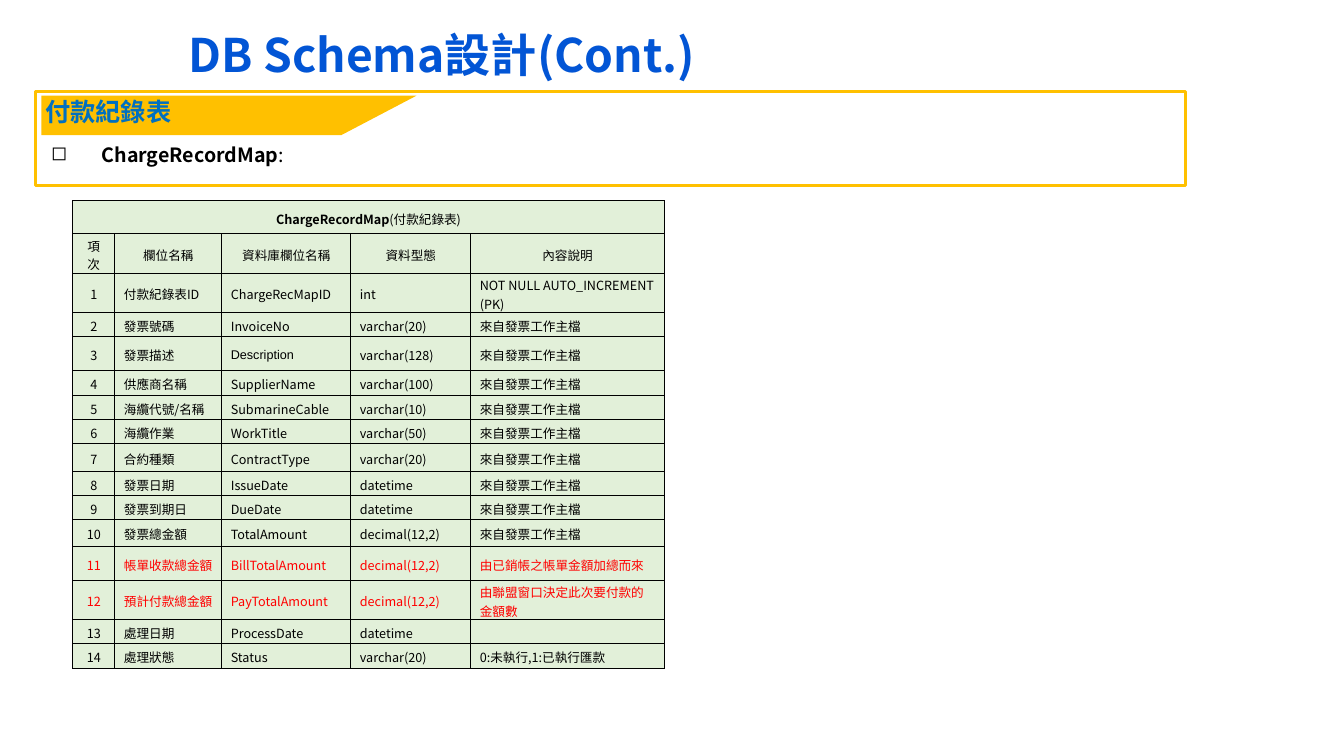
import itertools
from dataclasses import dataclass

import lxml.etree
import pptx
import pptx.dml.color
import pptx.enum.shapes
import pptx.enum.text
import pptx.oxml.ns
import pptx.util

Inches = pptx.util.Inches
Pt = pptx.util.Pt
ALIGN = pptx.enum.text.PP_ALIGN
ANCHOR = pptx.enum.text.MSO_ANCHOR
SHAPE = pptx.enum.shapes.MSO_SHAPE


@dataclass(frozen=True)
class Theme:
    title: str = "0255D5"
    label: str = "0070C0"
    gold: str = "FFC000"
    ink: str = "000000"
    alert: str = "FF0000"
    cell: str = "E2F0D9"
    main: str = "Noto Sans CJK SC"
    alt: str = "Arial"
    large: int = 33
    mid: int = 18
    body: int = 14
    small: int = 9


THEME = Theme()
COLS = [0.42, 1.06, 1.28, 1.19, 1.92]
ROWS = [0.33, 0.39, 0.39, 0.24, 0.34, 0.24, 0.24, 0.24,
        0.28, 0.24, 0.24, 0.26, 0.34, 0.39, 0.24, 0.24]
HEADS = ["項次", "欄位名稱", "資料庫欄位名稱", "資料型態", "內容說明"]
MAIN = "來自發票工作主檔"
FIELDS = [
    ("付款紀錄表ID", "ChargeRecMapID", "int", "NOT NULL AUTO_INCREMENT (PK)"),
    ("發票號碼", "InvoiceNo", "varchar(20)", MAIN),
    ("發票描述", "Description", "varchar(128)", MAIN),
    ("供應商名稱", "SupplierName", "varchar(100)", MAIN),
    ("海纜代號/名稱", "SubmarineCable", "varchar(10)", MAIN),
    ("海纜作業", "WorkTitle", "varchar(50)", MAIN),
    ("合約種類", "ContractType", "varchar(20)", MAIN),
    ("發票日期", "IssueDate", "datetime", MAIN),
    ("發票到期日", "DueDate", "datetime", MAIN),
    ("發票總金額", "TotalAmount", "decimal(12,2)", MAIN),
    ("帳單收款總金額", "BillTotalAmount", "decimal(12,2)", "由已銷帳之帳單金額加總而來"),
    ("預計付款總金額", "PayTotalAmount", "decimal(12,2)", "由聯盟窗口決定此次要付款的金額數"),
    ("處理日期", "ProcessDate", "datetime", ""),
    ("處理狀態", "Status", "varchar(20)", "0:未執行,1:已執行匯款"),
]
ALERTS = (11, 12)


def rgb(code):
    return pptx.dml.color.RGBColor.from_string(code)


def apply(target, values):
    for name, value in values.items():
        setattr(target, name, value)


def add_node(parent, tag, **values):
    return lxml.etree.SubElement(parent, pptx.oxml.ns.qn(tag), values)


def add_run(par, text, size, color, bold=False, font=THEME.main):
    run = par.add_run()
    run.text = text
    apply(run.font, {"size": Pt(size), "bold": bold, "name": font})
    run.font.color.rgb = rgb(color)
    add_node(run.font._element, "a:ea", typeface=THEME.main)


def add_text(slide, box, text, size, color, anchor=ANCHOR.TOP):
    frame = slide.shapes.add_textbox(*map(Inches, box)).text_frame
    apply(frame, {"word_wrap": True, "vertical_anchor": anchor})
    par = frame.paragraphs[0]
    add_run(par, text, size, color, True)
    return par


def add_title(slide, box):
    par = add_text(slide, box, "DB Schema設計(Cont.)", THEME.large, THEME.title, ANCHOR.MIDDLE)
    par.line_spacing = 0.9


def add_panel(slide, box):
    left, top, width, height = box
    frame = slide.shapes.add_shape(SHAPE.RECTANGLE, *map(Inches, box))
    frame.shadow.inherit = False
    frame.fill.background()
    frame.line.color.rgb = rgb(THEME.gold)
    frame.line.width = Pt(2)
    add_node(frame.line._ln, "a:round")

    bullet = add_text(slide, (left + 0.06, top + 0.46, width - 0.25, 0.34),
                      "ChargeRecordMap", THEME.body, THEME.ink)
    add_run(bullet, ":", THEME.body, THEME.ink)
    bullet.alignment = ALIGN.JUSTIFY
    props = bullet._p.get_or_add_pPr()
    for name, value in {"marL": Inches(0.5), "indent": Inches(-0.5)}.items():
        props.set(name, str(int(value)))
    add_node(props, "a:buChar", char="◻")

    wide, tall = 3.72, 0.39
    tab = slide.shapes.add_shape(
        SHAPE.FLOWCHART_MANUAL_INPUT, Inches(left + 0.06 + (wide - tall) / 2),
        Inches(top + 0.04 - (wide - tall) / 2), Inches(tall), Inches(wide))
    tab.rotation = 270
    tab._element.spPr.xfrm.set("flipV", "1")
    tab.shadow.inherit = False
    tab.fill.solid()
    tab.fill.fore_color.rgb = rgb(THEME.gold)
    tab.line.fill.background()
    add_text(slide, (left, top, 3.32, 0.4), "付款紀錄表", THEME.mid, THEME.label)


def is_han(char):
    return ord(char) > 0x2E80


def fill_cell(cell, text, color=THEME.ink, align=ALIGN.LEFT, strong=""):
    apply(cell, {"vertical_anchor": ANCHOR.MIDDLE,
                 "margin_left": Inches(0.09), "margin_right": Inches(0.09),
                 "margin_top": Inches(0.03), "margin_bottom": 0})
    props = cell._tc.get_or_add_tcPr()
    for side in "LRTB":
        line = add_node(props, f"a:ln{side}", w=str(int(Pt(0.75))))
        add_node(add_node(line, "a:solidFill"), "a:srgbClr", val=THEME.ink)
    cell.fill.solid()
    cell.fill.fore_color.rgb = rgb(THEME.cell)
    par = cell.text_frame.paragraphs[0]
    par.alignment = align
    if strong:
        add_run(par, strong, THEME.small, color, True)
    for han, chars in itertools.groupby(text, is_han):
        font = THEME.alt if han or text == "Description" else THEME.main
        add_run(par, "".join(chars), THEME.small, color, font=font)
    if not text:
        add_node(par._p, "a:endParaRPr", sz=str(THEME.small * 100))


def add_schema(slide, box):
    table = slide.shapes.add_table(len(ROWS), len(COLS), *map(Inches, box)).table
    apply(table, {"first_row": False, "horz_banding": False})
    for col, width in zip(table.columns, COLS):
        col.width = Inches(width)
    for row, height in zip(table.rows, ROWS):
        row.height = Inches(height)
    table.cell(0, 0).merge(table.cell(0, len(COLS) - 1))
    for col, head in enumerate(HEADS):
        first = col == 0
        fill_cell(table.cell(0, col), "(付款紀錄表)" if first else "",
                  align=ALIGN.CENTER, strong="ChargeRecordMap" if first else "")
        fill_cell(table.cell(1, col), head, align=ALIGN.CENTER)
    for num, field in enumerate(FIELDS, 1):
        color = THEME.alert if num in ALERTS else THEME.ink
        for col, text in enumerate((str(num), *field)):
            align = ALIGN.LEFT if col else ALIGN.CENTER
            fill_cell(table.cell(num + 1, col), text, color, align)


def main():
    deck = pptx.Presentation()
    apply(deck, {"slide_width": Inches(13.33), "slide_height": Inches(7.5)})
    slide = deck.slides.add_slide(deck.slide_layouts[6])
    add_title(slide, (1.77, 0.22, 9.9, 0.71))
    add_panel(slide, (0.35, 0.91, 11.41, 0.93))
    add_schema(slide, (0.72, 1.99, sum(COLS), sum(ROWS)))
    deck.save("out.pptx")


if __name__ == "__main__":
    main()
